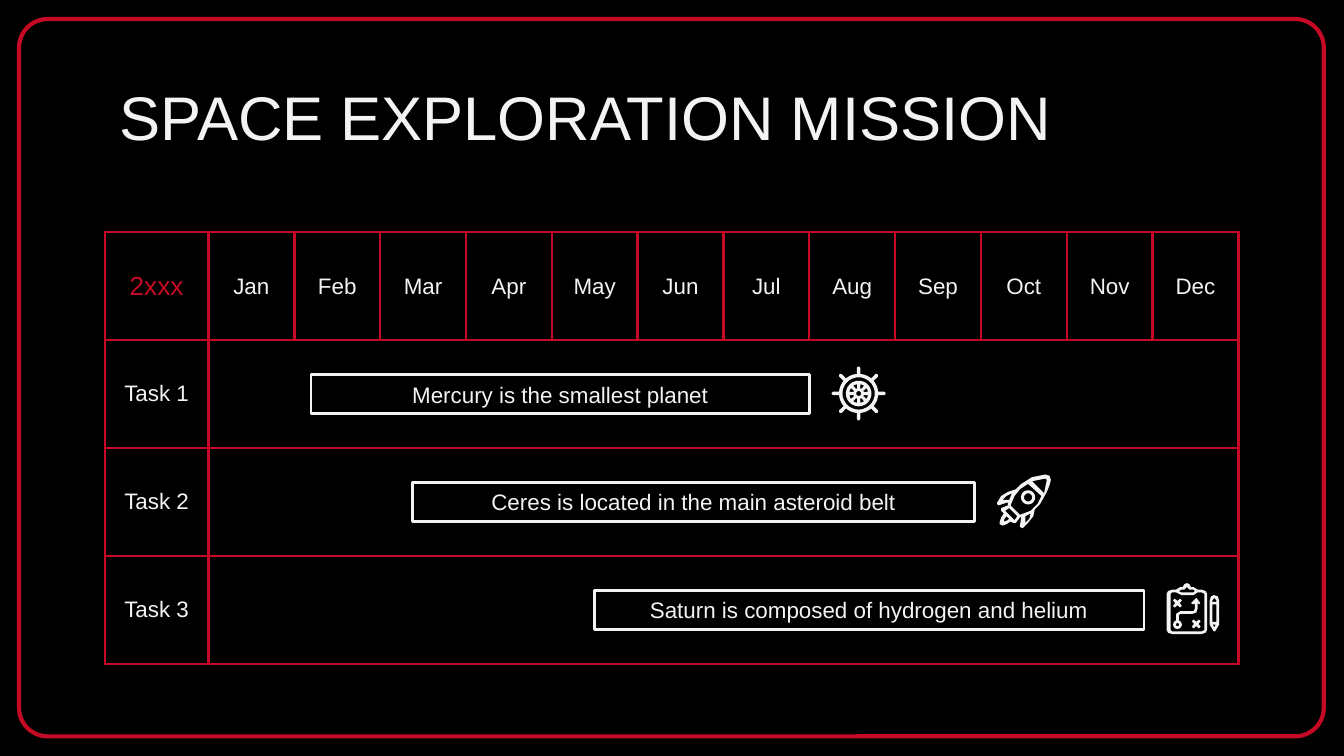
"""Builds a yearly mission schedule slide with a task table, bars and icons."""
from dataclasses import dataclass
from math import cos, pi, sin

from lxml.etree import SubElement
from pptx import Presentation
from pptx.dml.color import RGBColor
from pptx.enum.shapes import MSO_SHAPE
from pptx.enum.text import MSO_ANCHOR, MSO_AUTO_SIZE, PP_ALIGN
from pptx.oxml.ns import qn
from pptx.util import Cm, Pt

BLACK, RED, WHITE = "000000", "C50A25", "F3F3F3"
FONT = "Arial"
MONTHS = ["Jan", "Feb", "Mar", "Apr", "May", "Jun", "Jul", "Aug", "Sep", "Oct", "Nov", "Dec"]
TABLE_LEFT, TABLE_TOP, TABLE_WIDTH = 1.98, 4.39, 21.43
LABEL_WIDTH, ROW_HEIGHT = 1.96, 2.04
BAR_HEIGHT, INSET = 0.74, 0.25
ICON_UNIT = Cm(2.54) / 1000
NO_STYLE = "{2D5ABB26-0587-4C30-8999-92F81FD0307C}"

Point = tuple[float, float]
Contour = list[Point]
Glyph = list[Contour]


@dataclass
class Task:
    name: str
    text: str
    left: float
    width: float
    icon_left: float
    icon_top: float
    icon: list[Glyph]


def color(value: str) -> RGBColor:
    return RGBColor.from_string(value)


def arc(x: float, y: float, radius: float, start: float, end: float, steps: int) -> Contour:
    angles = [start + (end - start) * step / steps for step in range(steps + 1)]
    return [(x + radius * cos(angle), y + radius * sin(angle)) for angle in angles]


def ring(x: float, y: float, outer: float, inner: float) -> Glyph:
    return [arc(x, y, radius, 0, 2 * pi, 40) for radius in (outer, inner)]


def ray(angle: float) -> Contour:
    profile = [(14.6, -1.3), (19, -1.3), (20, -0.5), (20, 0.5), (19, 1.3), (14.6, 1.3)]
    return [(20 + x * cos(angle) - y * sin(angle), 20 + x * sin(angle) + y * cos(angle))
            for x, y in profile]


def sector(angle: float) -> Contour:
    outer = arc(20, 20, 7, angle - 0.22, angle + 0.22, 6)
    return outer + arc(20, 20, 3.9, angle + 0.12, angle - 0.12, 4)


def cross(x: float, y: float) -> Contour:
    arm = [(0, -1.6), (2, -3.3), (3.3, -2)]
    points = []
    for _ in range(4):
        points += [(x + across, y + down) for across, down in arm]
        arm = [(-down, across) for across, down in arm]
    return points


def sun_icon() -> list[Glyph]:
    turns = [pi / 4 * step for step in range(8)]
    hub = ring(20, 20, 9.5, 1.8) + [sector(turn + pi / 8) for turn in turns]
    return [ring(20, 20, 14.6, 12) + [ray(turn) for turn in turns], hub]


def rocket_icon() -> list[Glyph]:
    outline = [(37, 0), (27, 2), (19, 7), (15, 11), (9, 13), (4, 16), (1, 21), (1, 22),
               (2, 23), (8, 21), (9, 21), (9, 23), (4, 25), (4, 27), (6, 29), (4, 32),
               (3, 35), (3, 37), (5, 38), (8, 37), (11, 35), (13, 36), (15, 36), (18, 32),
               (19, 32), (18, 38), (18, 39), (20, 40), (24, 36), (28, 31), (29, 26),
               (33, 22), (38, 13), (40, 8), (41, 4), (40, 1)]
    nose = [(37, 3), (38, 4), (36, 14), (27, 5)]
    body = [(24, 7), (34, 16), (31, 22), (26, 27), (18, 30), (11, 23), (14, 16), (18, 11)]
    left_fin = [(12, 14), (10, 19), (5, 19), (8, 16)]
    right_fin = [(26, 29), (25, 33), (22, 36), (22, 31)]
    base = [(10, 25), (16, 31), (14, 34), (7, 27)]
    flame = [(8, 31), (10, 33), (8, 34.5), (6, 35), (6.5, 33)]
    return [[outline, nose, body, left_fin, right_fin, base, flame], ring(24, 17, 5.3, 3)]


def plan_icon() -> list[Glyph]:
    board = [(15, 0), (13, 1), (12, 3), (10, 3), (7, 5), (4, 5), (1, 6), (0, 8), (0, 35),
             (1, 37), (4, 38), (26, 38), (29, 37), (30, 35), (30, 8), (29, 6), (26, 5),
             (23, 5), (20, 3), (18, 3), (17, 1)]
    clip = [(15, 3), (16, 4), (17, 5), (20, 5), (21, 6), (20, 7), (11, 7), (9, 6),
            (11, 5), (13, 5), (14, 4)]
    sheet = [(26, 7), (28, 8), (28, 35), (26, 36), (4, 36), (3, 35), (3, 8), (4, 7),
             (7, 7), (11, 9), (20, 9), (23, 7)]
    route = [(22, 11), (18, 15), (20, 16), (21, 15), (21, 19), (20, 21), (10, 21), (7, 23),
             (7, 28), (9, 28), (9, 24), (10, 23), (19, 23), (22, 22), (23, 19), (23, 15),
             (24, 16), (25, 15)]
    pencil = [(35, 9), (33, 10), (32, 13), (32, 31), (35, 36), (36, 36), (39, 31),
              (39, 13), (38, 10)]
    eraser = [(35.5, 11), (37, 13), (37, 14), (34, 14), (34, 13)]
    shaft = [(34, 16), (37, 16), (37, 29), (34, 29)]
    tip = [(34, 31), (36.5, 31), (35.5, 33)]
    return [[board, clip, sheet], [cross(8, 15)], [cross(22, 30.5)],
            [route] + ring(8, 31, 3.2, 1.2), [pencil, eraser, shaft, tip]]


TASKS = [
    Task("Task 1", "Mercury is the smallest planet", 5.88, 9.42, 15.72, 6.93, sun_icon()),
    Task("Task 2", "Ceres is located in the main asteroid belt", 7.8, 10.62, 18.82, 8.97,
         rocket_icon()),
    Task("Task 3", "Saturn is composed of hydrogen and helium", 11.23, 10.39, 22.05, 11.02,
         plan_icon()),
]


def add_text(frame, text: str, size: float, shade: str, align: PP_ALIGN) -> None:
    para = frame.paragraphs[0]
    para.alignment = align
    span = para.add_run()
    span.text = text
    span.font.name = FONT
    span.font.size = Pt(size)
    span.font.color.rgb = color(shade)


def set_insets(target) -> None:
    target.margin_left = target.margin_right = Cm(INSET)
    target.margin_top = target.margin_bottom = Cm(INSET)


def add_box(page, left: float, top: float, width: float, height: float,
            rounding: float, shade: str, weight: float):
    box = page.shapes.add_shape(MSO_SHAPE.ROUNDED_RECTANGLE, Cm(left), Cm(top),
                                Cm(width), Cm(height))
    box.adjustments[0] = rounding
    box.shadow.inherit = False
    box.fill.background()
    box.line.color.rgb = color(shade)
    box.line.width = Pt(weight)
    return box


def add_title(page, text: str) -> None:
    title = page.shapes.title
    title.left, title.top, title.width, title.height = Cm(2.01), Cm(1.24), Cm(21.41), Cm(1.6)
    frame = title.text_frame
    frame.auto_size = MSO_AUTO_SIZE.NONE
    frame.vertical_anchor = MSO_ANCHOR.TOP
    set_insets(frame)
    add_text(frame, text, 33, WHITE, PP_ALIGN.LEFT)


def set_borders(cell, sides: str) -> None:
    properties = cell._tc.get_or_add_tcPr()
    for side in "LRTB":
        line = SubElement(properties, qn(f"a:ln{side}"), w=str(Pt(1.5)))
        if side in sides:
            fill = SubElement(line, qn("a:solidFill"))
            SubElement(fill, qn("a:srgbClr"), val=RED)
        else:
            SubElement(line, qn("a:noFill"))


def add_schedule(page) -> None:
    rows = [["2xxx"] + MONTHS] + [[task.name] + [""] * len(MONTHS) for task in TASKS]
    holder = page.shapes.add_table(len(rows), len(rows[0]), Cm(TABLE_LEFT), Cm(TABLE_TOP),
                                   Cm(TABLE_WIDTH), Cm(ROW_HEIGHT * len(rows)))
    table = holder.table
    table._tbl.tblPr.find(qn("a:tableStyleId")).text = NO_STYLE
    table.first_row = table.horz_banding = False
    for column in table.columns:
        column.width = Cm((TABLE_WIDTH - LABEL_WIDTH) / len(MONTHS))
    table.columns[0].width = Cm(LABEL_WIDTH)
    for row, texts in enumerate(rows):
        for column, text in enumerate(texts):
            cell = table.cell(row, column)
            left = "L" if text or column == 1 else ""
            right = "R" if text or column == len(MONTHS) else ""
            set_borders(cell, "TB" + left + right)
            cell.fill.background()
            cell.vertical_anchor = MSO_ANCHOR.MIDDLE
            set_insets(cell)
            if text:
                corner = row == column == 0
                add_text(cell.text_frame, text, 14 if corner else 12,
                         RED if corner else WHITE, PP_ALIGN.CENTER)


def add_bar(page, task: Task, row: int) -> None:
    top = TABLE_TOP + ROW_HEIGHT * (row + 0.5) - BAR_HEIGHT / 2
    bar = add_box(page, task.left, top, task.width, BAR_HEIGHT, 0, WHITE, 1.5)
    bar.fill.solid()
    bar.fill.fore_color.rgb = color(BLACK)
    frame = bar.text_frame
    frame.word_wrap = True
    frame.vertical_anchor = MSO_ANCHOR.MIDDLE
    set_insets(frame)
    add_text(frame, task.text, 12, WHITE, PP_ALIGN.CENTER)


def add_icon(page, task: Task) -> None:
    group = page.shapes.add_group_shape()
    for glyph in task.icon:
        contours = [[(round(x * 10), round(y * 10)) for x, y in contour] for contour in glyph]
        builder = group.shapes.build_freeform(*contours[0][0], scale=ICON_UNIT)
        builder.add_line_segments(contours[0][1:], close=True)
        for contour in contours[1:]:
            builder.move_to(*contour[0])
            builder.add_line_segments(contour[1:], close=True)
        shape = builder.convert_to_shape(Cm(task.icon_left), Cm(task.icon_top))
        shape.shadow.inherit = False
        shape.fill.solid()
        shape.fill.fore_color.rgb = color(WHITE)
        shape.line.fill.background()


def main() -> None:
    deck = Presentation()
    deck.slide_width, deck.slide_height = Cm(25.4), Cm(14.29)
    page = deck.slides.add_slide(deck.slide_layouts[5])
    page.background.fill.solid()
    page.background.fill.fore_color.rgb = color(BLACK)
    add_box(page, 0.36, 0.36, 24.66, 13.56, 0.04, RED, 2.25)
    add_title(page, "SPACE EXPLORATION MISSION")
    add_schedule(page)
    for row, task in enumerate(TASKS, start=1):
        add_bar(page, task, row)
        add_icon(page, task)
    deck.save("out.pptx")


if __name__ == "__main__":
    main()
